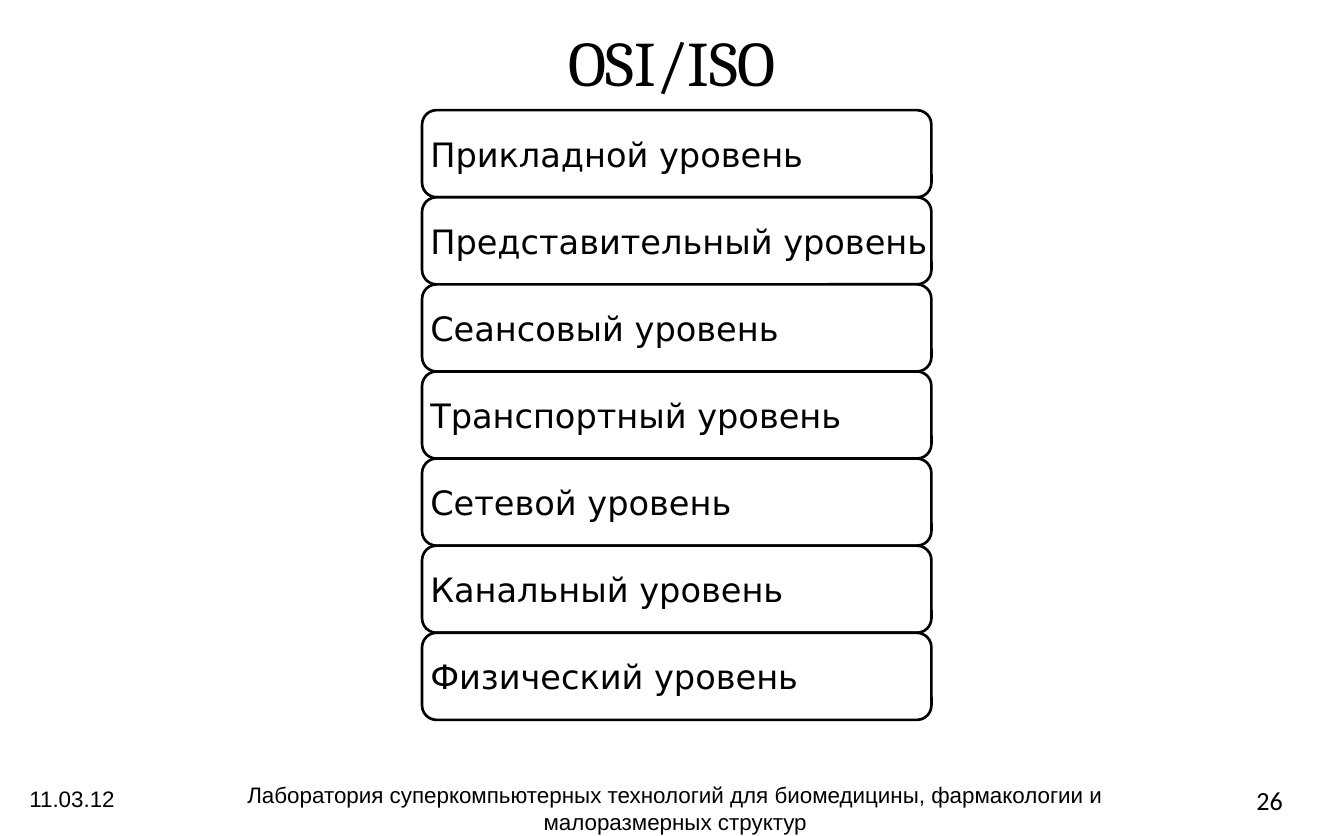
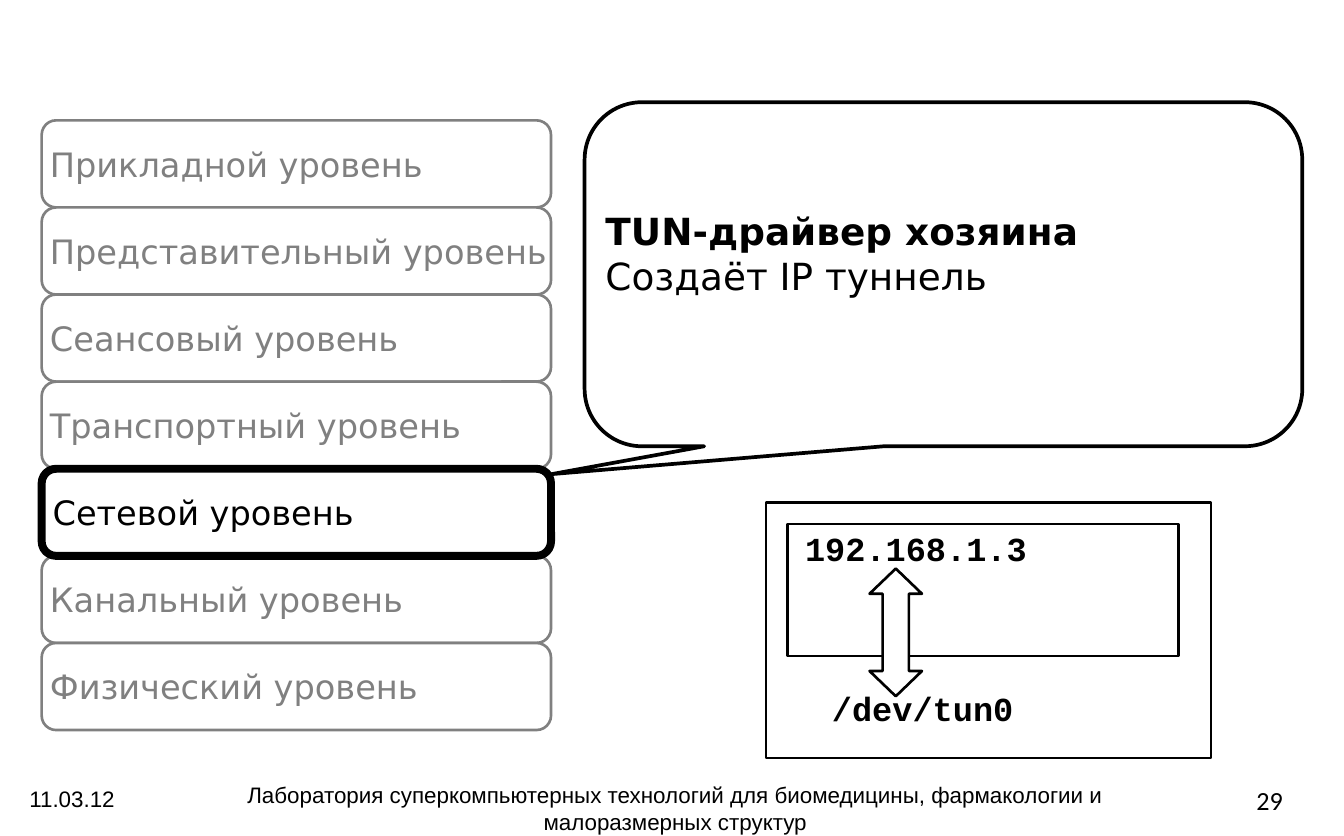
from pptx import Presentation
from pptx.dml.color import RGBColor
from pptx.enum.shapes import MSO_SHAPE
from pptx.enum.text import MSO_ANCHOR, MSO_AUTO_SIZE, PP_ALIGN
from pptx.util import Inches, Pt

BLACK = RGBColor(0x00, 0x00, 0x00)
GRAY = RGBColor(0x80, 0x80, 0x80)
WHITE = RGBColor(0xFF, 0xFF, 0xFF)

LEFT, CENTER = PP_ALIGN.LEFT, PP_ALIGN.CENTER
TOP, MIDDLE = MSO_ANCHOR.TOP, MSO_ANCHOR.MIDDLE
RECT = MSO_SHAPE.RECTANGLE
LEVEL_BOX = MSO_SHAPE.FLOWCHART_ALTERNATE_PROCESS
CALLOUT = MSO_SHAPE.ROUNDED_RECTANGULAR_CALLOUT
ARROW = MSO_SHAPE.LEFT_RIGHT_ARROW
TITLE_ONLY, BLANK = 5, 6

SLIDE_W, SLIDE_H = Inches(10), Inches(6.22)
SANS, MONO = "DejaVu Sans", "Courier New"
THIN, MEDIUM, THICK = 1.42, 1.98, 4.25
TIGHT = (0.03, -0.02, 0.03, -0.02)
ROOMY = (0.1, 0.05, 0.1, 0.05)

DATE = "11.03.12"
LAB = ("Лаборатория суперкомпьютерных технологий для биомедицины, "
       "фармакологии и малоразмерных структур")
LEVELS = ["Прикладной", "Представительный", "Сеансовый", "Транспортный",
          "Сетевой", "Канальный", "Физический"]
NETWORK = LEVELS.index("Сетевой")
LEVEL_W, LEVEL_H = 37.9, 10.42


def area(x, y, w, h):
    """Turn percentages of the slide's width and height into lengths."""
    return (int(SLIDE_W * x / 100), int(SLIDE_H * y / 100),
            int(SLIDE_W * w / 100), int(SLIDE_H * h / 100))


def add_run(p, text, size, font, color=BLACK, bold=False):
    r = p.add_run()
    r.text = text
    r.font.size = Pt(size)
    r.font.name = font
    r.font.bold = bold
    r.font.color.rgb = color


def set_frame(tf, insets=TIGHT, anchor=TOP, wrap=False):
    tf.margin_left, tf.margin_top, tf.margin_right, tf.margin_bottom = map(Inches, insets)
    tf.vertical_anchor = anchor
    tf.word_wrap = wrap
    tf.paragraphs[0].alignment = LEFT


def add_box(s, kind, place, line=None, width=THIN, fill=WHITE):
    sp = s.shapes.add_shape(kind, *area(*place))
    sp.shadow.inherit = False
    if fill is None:
        sp.fill.background()
    else:
        sp.fill.solid()
        sp.fill.fore_color.rgb = fill
    if line is None:
        sp.line.fill.background()
    else:
        sp.line.color.rgb = line
        sp.line.width = Pt(width)
    return sp


def add_label(s, place, text, size, font, align=LEFT, insets=ROOMY, wrap=True, bold=False):
    tf = s.shapes.add_textbox(*area(*place)).text_frame
    set_frame(tf, insets, wrap=wrap)
    p = tf.paragraphs[0]
    p.alignment = align
    add_run(p, text, size, font, bold=bold)


def add_title(s, text):
    title = s.shapes.title
    title.left, title.top, title.width, title.height = area(5, 1.93, 90, 10.77)
    tf = title.text_frame
    tf.auto_size = MSO_AUTO_SIZE.NONE
    tf.vertical_anchor = MIDDLE
    p = tf.paragraphs[0]
    p.alignment = CENTER
    add_run(p, text, 34, "Cambria")


def add_footer(s, number):
    add_label(s, (1.2, 93.09, 11, 5.31), DATE, 12, "Arial")
    add_label(s, (11.4, 92.6, 77.7, 5.31), LAB, 12, "Arial", CENTER)
    add_label(s, (92.5, 93.09, 5.6, 5.31), str(number), 14, "Calibri")


def add_level(s, x, top, row, color=BLACK, width=THIN, insets=TIGHT):
    place = (x, top + row * LEVEL_H, LEVEL_W, LEVEL_H)
    tf = add_box(s, LEVEL_BOX, place, color, width).text_frame
    set_frame(tf, insets, MIDDLE)
    add_run(tf.paragraphs[0], f"{LEVELS[row]} уровень", 18, SANS, color)


def add_callout(s, heading, detail):
    sp = add_box(s, CALLOUT, (43.5, 12.22, 53.4, 41.16), BLACK, MEDIUM)
    for i, value in enumerate((-0.546, 0.581, 0.167)):
        sp.adjustments[i] = value
    tf = sp.text_frame
    set_frame(tf, (0.03, -0.02, 0.03, 0.3), MIDDLE)
    add_run(tf.paragraphs[0], heading, 20, SANS, bold=True)
    p = tf.add_paragraph()
    p.alignment = LEFT
    add_run(p, detail, 20, SANS)


def add_host(s, address, device):
    """Draw a host whose network address is tied to its tunnel device."""
    add_box(s, RECT, (58.6, 62.7, 29.1, 15.76), BLACK, fill=None)
    add_box(s, RECT, (57, 60.13, 33.1, 30.55), BLACK, fill=None)
    add_label(s, (59.6, 63.5, 17.1, 4.18), address, 18, MONO,
              insets=TIGHT, wrap=False, bold=True)
    tf = add_box(s, RECT, (61.6, 82.64, 14.5, 6.75)).text_frame
    set_frame(tf, wrap=True)
    add_run(tf.paragraphs[0], device, 18, MONO, bold=True)
    arrow = add_box(s, ARROW, (61.9, 72.51, 9.5, 6.27), BLACK)
    arrow.rotation = 90
    arrow.adjustments[0], arrow.adjustments[1] = 0.5, 0.481


def build_model_slide(prs):
    s = prs.slides.add_slide(prs.slide_layouts[TITLE_ONLY])
    add_title(s, "OSI/ISO")
    add_footer(s, 26)
    for row in range(len(LEVELS)):
        add_level(s, 31.4, 13.18, row)


def build_tunnel_slide(prs):
    s = prs.slides.add_slide(prs.slide_layouts[BLANK])
    x, top = 3.1, 14.4
    add_footer(s, 29)
    for row in range(len(LEVELS)):
        if row != NETWORK:
            add_level(s, x, top, row, GRAY)
    add_callout(s, "TUN-драйвер хозяина", "Создаёт IP туннель")
    add_host(s, "192.168.1.3", "/dev/tun0")
    add_level(s, x, top, NETWORK, BLACK, THICK, (0.05, 0, 0.05, 0))


def main():
    prs = Presentation()
    prs.slide_width, prs.slide_height = SLIDE_W, SLIDE_H
    build_model_slide(prs)
    build_tunnel_slide(prs)
    prs.save("out.pptx")


if __name__ == "__main__":
    main()
